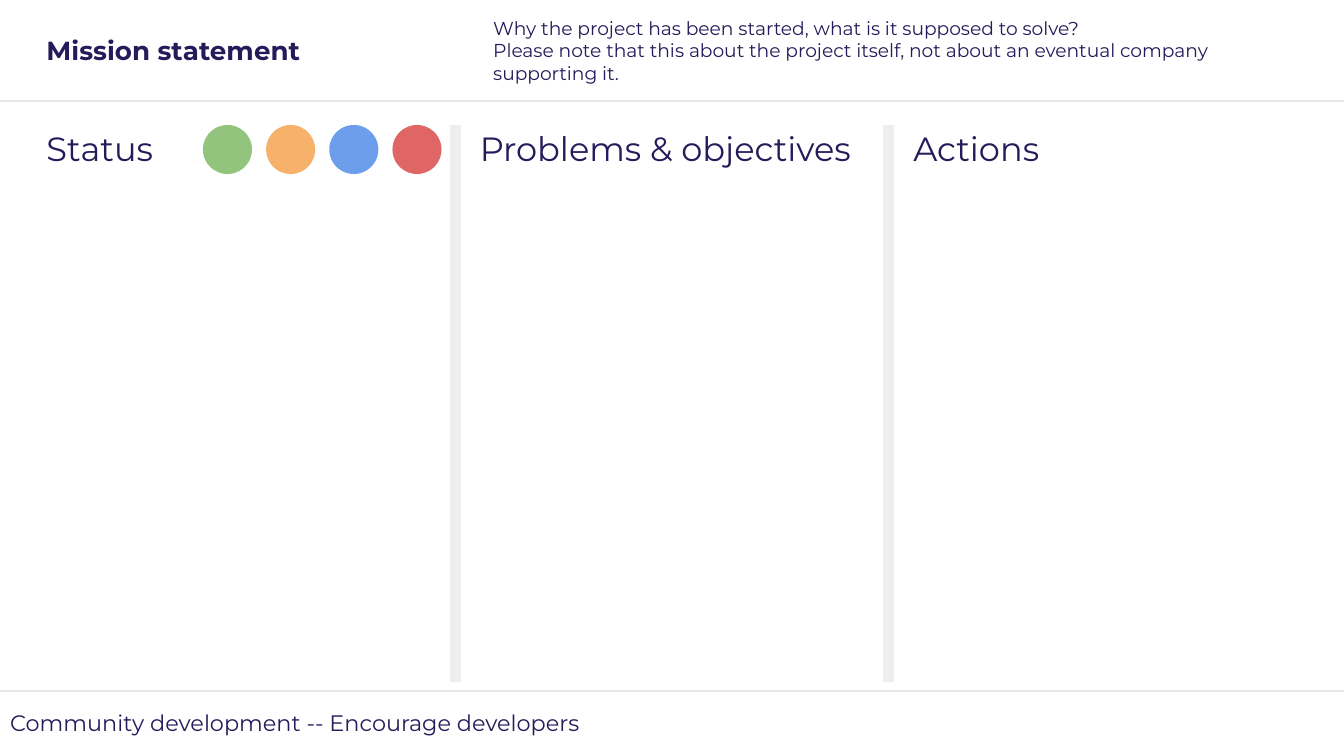
from dataclasses import dataclass

from lxml import etree
from pptx import Presentation
from pptx.dml.color import RGBColor
from pptx.enum.shapes import MSO_CONNECTOR, MSO_SHAPE
from pptx.enum.text import MSO_ANCHOR, MSO_AUTO_SIZE, PP_ALIGN
from pptx.oxml.ns import qn
from pptx.shapes.autoshape import Shape
from pptx.slide import Slide
from pptx.util import Emu, Pt

STRAIGHT = MSO_CONNECTOR.STRAIGHT
OVAL = MSO_SHAPE.OVAL
TOP = MSO_ANCHOR.TOP
MIDDLE = MSO_ANCHOR.MIDDLE
NO_AUTOFIT = MSO_AUTO_SIZE.NONE
LEFT = PP_ALIGN.LEFT

INDIGO = RGBColor(0x25, 0x1B, 0x5B)
RULE_GREY = RGBColor(0xE8, 0xE8, 0xE8)
DIVIDER_GREY = RGBColor(0xEE, 0xEE, 0xEE)
GREEN = RGBColor(0x93, 0xC4, 0x7D)
ORANGE = RGBColor(0xF6, 0xB2, 0x6B)
BLUE = RGBColor(0x6D, 0x9E, 0xEB)
RED = RGBColor(0xE0, 0x66, 0x66)

FONT = "Montserrat"
EMU_PER_PX = 4572
SLIDE_WIDTH, SLIDE_HEIGHT = 2000, 1125
INSET = 15
COLUMN_TOP, COLUMN_WIDTH, COLUMN_HEIGHT = 176, 604, 850
DIVIDER_TOP, DIVIDER_BOTTOM = 186, 1015
STATUS_LEFT, STATUS_PITCH, STATUS_SIZE = 302, 94, 73


@dataclass(frozen=True)
class Label:
    text: str
    left: int
    top: int
    width: int
    height: int
    size: int
    anchor: MSO_ANCHOR = MIDDLE
    bold: bool = False


@dataclass(frozen=True)
class Line:
    start: tuple[int, int]
    end: tuple[int, int]
    color: RGBColor
    weight: int


TITLE = Label("Mission statement", 54, 20, 646, 110, 14, bold=True)
COLUMNS = [
    Label(heading, left, COLUMN_TOP, COLUMN_WIDTH, COLUMN_HEIGHT, 18, TOP)
    for heading, left in (("Status", 54), ("Problems & objectives", 699), ("Actions", 1344))
]
MISSION = Label(
    "Why the project has been started, what is it supposed to solve?\n"
    "Please note that this about the project itself, not about an eventual "
    "company supporting it.",
    719, 20, 1228, 110, 10,
)
FOOTER = Label("Community development -- Encourage developers", 0, 1026, 1906, 99, 12)
RULES = [Line((0, y), (SLIDE_WIDTH, y), RULE_GREY, 1) for y in (150, 1028)]
DIVIDERS = [
    Line((x, DIVIDER_TOP), (x, DIVIDER_BOTTOM), DIVIDER_GREY, 6) for x in (678, 1322)
]


def px(length: int) -> Emu:
    return Emu(length * EMU_PER_PX)


def format_label(box: Shape, label: Label) -> None:
    box.left, box.top = px(label.left), px(label.top)
    box.width, box.height = px(label.width), px(label.height)
    frame = box.text_frame
    frame.word_wrap = True
    frame.auto_size = NO_AUTOFIT
    frame.vertical_anchor = label.anchor
    frame.margin_left = frame.margin_right = px(INSET)
    frame.margin_top = frame.margin_bottom = px(INSET)
    paragraph = frame.paragraphs[0]
    paragraph.text = label.text
    paragraph.alignment = LEFT
    paragraph.font.name = FONT
    paragraph.font.size = Pt(label.size)
    paragraph.font.bold = label.bold
    paragraph.font.color.rgb = INDIGO


def draw_label(slide: Slide, label: Label) -> None:
    box = slide.shapes.add_textbox(
        px(label.left), px(label.top), px(label.width), px(label.height)
    )
    format_label(box, label)


def draw_line(slide: Slide, line: Line) -> None:
    connector = slide.shapes.add_connector(
        STRAIGHT, *(px(value) for value in line.start + line.end)
    )
    connector.line.color.rgb = line.color
    connector.line.width = Pt(line.weight)
    etree.SubElement(connector._element.spPr, qn("a:effectLst"))


def draw_status(slide: Slide, left: int, color: RGBColor) -> None:
    dot = slide.shapes.add_shape(
        OVAL, px(left), px(DIVIDER_TOP), px(STATUS_SIZE), px(STATUS_SIZE)
    )
    dot.shadow.inherit = False
    dot.fill.solid()
    dot.fill.fore_color.rgb = color
    dot.line.fill.background()


def main() -> None:
    presentation = Presentation()
    presentation.slide_width = px(SLIDE_WIDTH)
    presentation.slide_height = px(SLIDE_HEIGHT)
    title_only = presentation.slide_layouts[5]
    slide = presentation.slides.add_slide(title_only)

    format_label(slide.shapes.title, TITLE)
    for line in RULES:
        draw_line(slide, line)
    for label in [*COLUMNS, MISSION, FOOTER]:
        draw_label(slide, label)
    for line in DIVIDERS:
        draw_line(slide, line)
    for index, color in enumerate((GREEN, ORANGE, BLUE, RED)):
        draw_status(slide, STATUS_LEFT + index * STATUS_PITCH, color)

    presentation.save("out.pptx")


if __name__ == "__main__":
    main()
